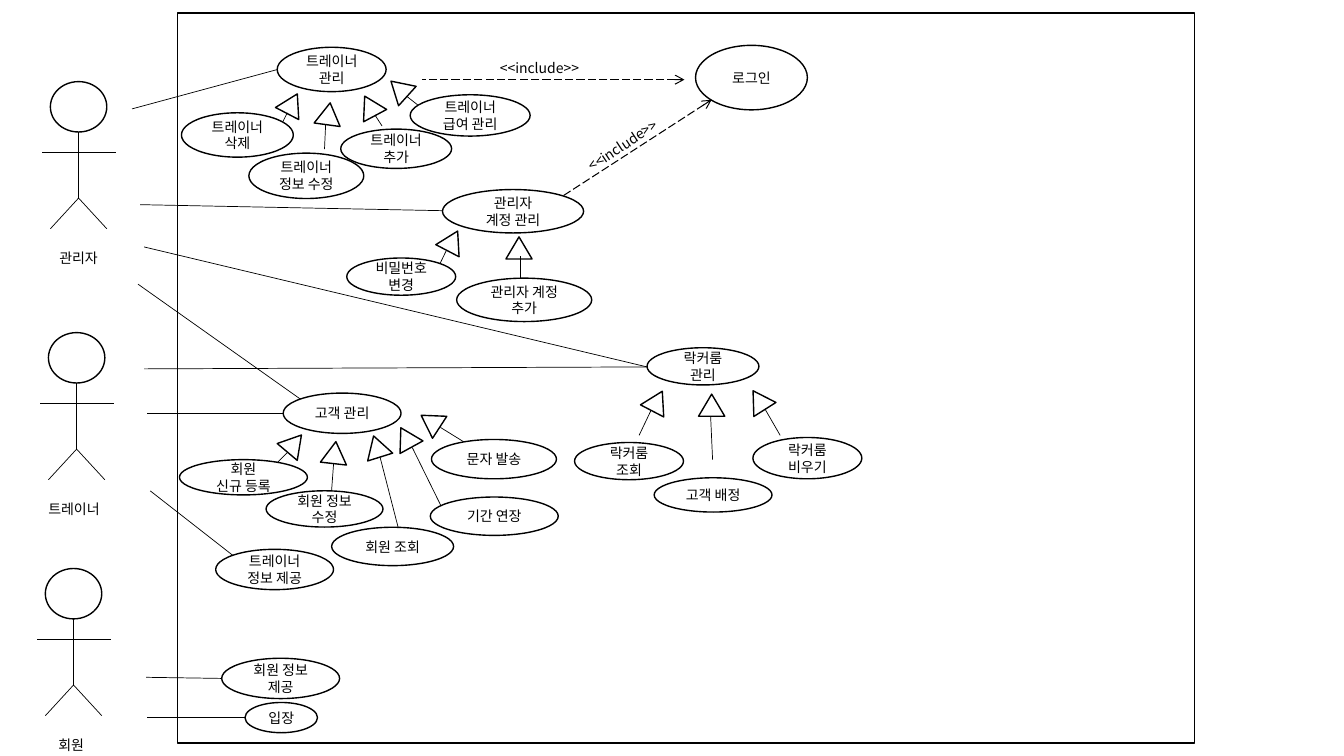
from lxml import etree
from pptx import Presentation
from pptx.dml.color import RGBColor
from pptx.enum.dml import MSO_LINE
from pptx.enum.shapes import MSO_CONNECTOR, MSO_SHAPE
from pptx.enum.text import MSO_ANCHOR, MSO_AUTO_SIZE, PP_ALIGN
from pptx.oxml.ns import qn
from pptx.util import Pt

OVAL = MSO_SHAPE.OVAL
RECT = MSO_SHAPE.RECTANGLE
TIP = MSO_SHAPE.FLOWCHART_EXTRACT
STRAIGHT = MSO_CONNECTOR.STRAIGHT
DASH = MSO_LINE.LONG_DASH
MIDDLE = MSO_ANCHOR.MIDDLE
GROW = MSO_AUTO_SIZE.SHAPE_TO_FIT_TEXT
CENTER = PP_ALIGN.CENTER
BLACK = RGBColor(0, 0, 0)
WHITE = RGBColor(255, 255, 255)
FONT = "Noto Sans CJK KR"

deck = Presentation()
deck.slide_width = Pt(960)
deck.slide_height = Pt(540)
slide = deck.slides.add_slide(deck.slide_layouts[6])


def draw(kind, x, y, w, h):
    shape = slide.shapes.add_shape(kind, Pt(x), Pt(y), Pt(w), Pt(h))
    shape.shadow.inherit = False
    shape.fill.solid()
    shape.fill.fore_color.rgb = WHITE
    shape.line.color.rgb = BLACK
    shape.line.width = Pt(1)
    return shape


def link(x1, y1, x2, y2, width=0.5):
    line = slide.shapes.add_connector(STRAIGHT, Pt(x1), Pt(y1), Pt(x2), Pt(y2))
    line.line.color.rgb = BLACK
    line.line.width = Pt(width)
    etree.SubElement(line._element.spPr, qn("a:effectLst"))
    return line


draw(RECT, 126.7, 9.4, 726.5, 521.3)

actors = [
    ("관리자", 36, 58.3, 35.3, 44.6),
    ("트레이너", 34.6, 237.6, 27.4, 54.7),
    ("회원", 32.4, 406.1, 34.6, 34.6),
]
labels = [
    ("<<include>>", 349.9, 38.9, 75.6, 0, True),
    ("<<include>>", 409, 92.2, 77.8, 326.7, True),
]
for name, x, y, left, width in actors:
    head = draw(OVAL, x, y, 40.3, 36)
    head.fill.background()
    mid = x + 20.15
    link(mid, y + 36, mid, y + 84)
    link(x - 5.8, y + 50.4, x + 46.8, y + 50.4)
    for foot in (x, x + 40.3):
        link(mid, y + 83.2, foot, y + 105.1)
    labels.append((name, left, y + 116.5, width, 0, False))

tips = [
    (254.9, 67.7, 332), (199.4, 66.2, 27.5), (225.4, 73.4, 7.8),
    (275.8, 55.4, 312.2), (313.9, 164.2, 27.5), (361.4, 169.2, 0),
    (200.9, 308.9, 40.1), (229.7, 315.4, 6.3), (259.9, 311, 342.6),
    (280.8, 304.6, 331.3), (298.1, 293, 303), (460.1, 278.6, 27.5),
    (499, 281.5, 0), (532.8, 277.9, 327.6),
]
for x, y, turn in tips:
    draw(TIP, x, y, 18.7, 15.8).rotation = turn

links = [
    (94.3, 77.8, 198, 49.7),
    (100.1, 146.2, 316.1, 150.5),
    (103, 176.4, 462.2, 262.1),
    (98.6, 203, 214.6, 285.1),
    (103, 263.5, 462.2, 262.1),
    (105.1, 295.2, 202.3, 295.2),
    (107.3, 350.6, 166.3, 396.7),
    (104.4, 483.8, 158.4, 484.6),
    (105.1, 512.6, 175, 512.6),
    (205.2, 80.6, 198.7, 93.6),
    (232.6, 89.3, 231.8, 106.6),
    (267.8, 82.1, 272.9, 90),
    (290.9, 69.1, 303.8, 79.2),
    (319, 178.6, 310.3, 196.6),
    (371.5, 182.9, 371.5, 203),
    (205.2, 323.3, 193, 335.5),
    (238.3, 331.2, 236.9, 349.9),
    (271.4, 326.2, 285.1, 379.4),
    (294.5, 319.7, 319, 369.4),
    (314.6, 305.3, 335.5, 318.2),
    (465.1, 293, 456.5, 311),
    (507.6, 297.4, 509, 328.3),
    (546.5, 292.3, 557.3, 311),
]
for ends in links:
    link(*ends)

for ends in [(488.9, 56.9, 301.7, 56.9), (508.3, 71.3, 402.5, 139.7)]:
    line = link(*ends, 0.75)
    line.line.dash_style = DASH
    etree.SubElement(line.line._get_or_add_ln(), qn("a:headEnd"), type="arrow")

cases = [
    ("로그인", 496.8, 32.4, 79.9, 46.1),
    ("트레이너\n관리", 198, 33.8, 77.8, 31.7),
    ("트레이너\n추가", 243.4, 92.2, 79.2, 28.1),
    ("트레이너\n정보 수정", 177.8, 109.4, 82.1, 32.4),
    ("트레이너 삭제", 129.6, 80.6, 79.9, 31.7),
    ("트레이너\n급여 관리", 293, 67.7, 85.7, 29.5),
    ("관리자\n계정 관리", 316.1, 135.4, 100.8, 31),
    ("비밀번호 변경", 247.7, 184.3, 77.8, 26.6),
    ("관리자 계정 추가", 326.2, 198.7, 96.5, 31),
    ("고객 관리", 202.3, 280.8, 84.2, 28.8),
    ("회원\n신규 등록", 128.2, 328.3, 91.4, 25.2),
    ("회원 정보\n수정", 190.1, 350.6, 83.5, 25.9),
    ("회원 조회", 236.9, 376.6, 87.1, 27.4),
    ("문자 발송", 308.2, 313.9, 89.3, 28.1),
    ("기간 연장", 307.4, 355, 91.4, 27.4),
    ("락커룸\n관리", 462.2, 248.4, 79.9, 26.6),
    ("락커룸\n조회", 410.4, 316.1, 77.8, 26.6),
    ("고객 배정", 467.3, 341.3, 84.2, 24.5),
    ("락커룸\n비우기", 537.8, 312.5, 77.8, 29.5),
    ("트레이너 정보 제공", 154.1, 392.4, 84.2, 28.8),
    ("회원 정보 제공", 158.4, 470.2, 84.2, 28.8),
    ("입장", 175, 501.8, 51.8, 21.6),
]
for name, *area in cases:
    frame = draw(OVAL, *area).text_frame
    frame.text = name
    frame.vertical_anchor = MIDDLE
    for para in frame.paragraphs:
        para.alignment = CENTER

for name, x, y, width, turn, wrap in labels:
    box = slide.shapes.add_textbox(Pt(x), Pt(y), Pt(width), Pt(19.4))
    box.rotation = turn
    box.text_frame.text = name
    box.text_frame.word_wrap = wrap
    box.text_frame.auto_size = GROW

for shape in slide.shapes:
    if shape.has_text_frame:
        for para in shape.text_frame.paragraphs:
            for run in para.runs:
                run.font.size = Pt(10)
                run.font.name = FONT
                run.font.color.rgb = BLACK
                etree.SubElement(run.font._element, qn("a:ea"), typeface=FONT)

deck.save("out.pptx")
